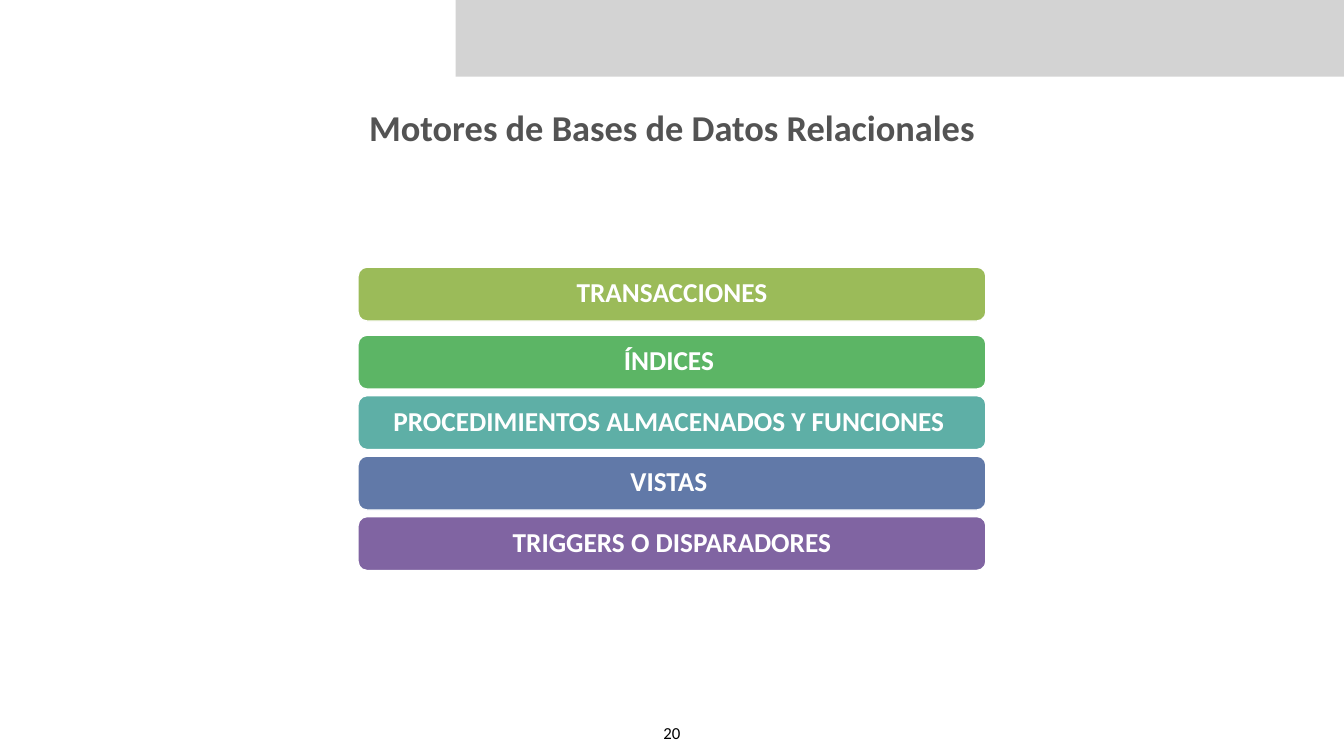
from pptx import Presentation
from pptx.dml.color import RGBColor
from pptx.enum.shapes import MSO_SHAPE as Shape
from pptx.enum.text import MSO_ANCHOR as Anchor, MSO_AUTO_SIZE as AutoSize, PP_ALIGN as Align
from pptx.util import Inches, Pt

# Content
TITLE = "Motores de Bases de Datos Relacionales"
PAGE_NUMBER = "20"
TOPICS = [
    ("TRANSACCIONES", "9BBB59"),
    ("ÍNDICES ", "5CB565"),
    ("PROCEDIMIENTOS ALMACENADOS Y FUNCIONES ", "5EAFA6"),
    ("VISTAS ", "6179A8"),
    ("TRIGGERS O DISPARADORES", "8064A2"),
]

# Layout, in inches
WIDTH, HEIGHT = 26.67, 15
BAND_LEFT, BAND_HEIGHT = 9.04, 1.52
TITLE_TOP, TITLE_WIDTH, TITLE_HEIGHT = 2.01, 16.09, 1.03
BAR_TOP, BAR_WIDTH, BAR_HEIGHT = 5.3, 12.46, 1.07
BAR_STEP, FIRST_EXTRA_GAP = 1.2, 0.15
NUMBER_TOP, NUMBER_WIDTH, NUMBER_HEIGHT = 14.26, 0.5, 0.55


def color(value):
    return RGBColor.from_string(value)


def centered(top, width, height):
    return [Inches(n) for n in ((WIDTH - width) / 2, top, width, height)]


def write(shape, text, size, text_color, bold, inset=0.08, anchor=Anchor.MIDDLE, wrap=True):
    frame = shape.text_frame
    frame.text = text
    frame.word_wrap = wrap
    frame.auto_size = AutoSize.NONE
    frame.vertical_anchor = anchor
    frame.margin_left = frame.margin_right = Inches(inset)
    frame.margin_top = frame.margin_bottom = Inches(inset)
    paragraph = frame.paragraphs[0]
    paragraph.alignment = Align.CENTER
    font = paragraph.runs[0].font
    font.name, font.size, font.bold = "Calibri", Pt(size), bold
    font.color.rgb = color(text_color)
    return paragraph


def add_filled(slide, kind, box, fill):
    shape = slide.shapes.add_shape(kind, *box)
    shape.shadow.inherit = False
    shape.fill.solid()
    shape.fill.fore_color.rgb = color(fill)
    return shape


presentation = Presentation()
presentation.slide_width, presentation.slide_height = Inches(WIDTH), Inches(HEIGHT)
slide = presentation.slides.add_slide(presentation.slide_layouts[5])

# Header band
band_box = [Inches(n) for n in (BAND_LEFT, 0, WIDTH - BAND_LEFT, BAND_HEIGHT)]
band = add_filled(slide, Shape.RECTANGLE, band_box, "D3D3D3")
band.line.fill.background()

# Title
title = slide.shapes.title
title.left, title.top, title.width, title.height = centered(TITLE_TOP, TITLE_WIDTH, TITLE_HEIGHT)
write(title, TITLE, 52, "535353", True)

# Topic bars: even steps, with a wider gap after the first
for index, (topic, fill) in enumerate(TOPICS):
    top = BAR_TOP + index * BAR_STEP + (FIRST_EXTRA_GAP if index else 0)
    bar = add_filled(slide, Shape.ROUNDED_RECTANGLE, centered(top, BAR_WIDTH, BAR_HEIGHT), fill)
    bar.line.color.rgb = color("FFFFFF")
    bar.line.width = Pt(2)
    paragraph = write(bar, topic, 39, "FFFFFF", True, inset=0.16)
    paragraph.line_spacing = 0.9

# Page number
number = slide.shapes.add_textbox(*centered(NUMBER_TOP, NUMBER_WIDTH, NUMBER_HEIGHT))
write(number, PAGE_NUMBER, 24, "000000", False, anchor=Anchor.TOP, wrap=False)

presentation.save("out.pptx")
